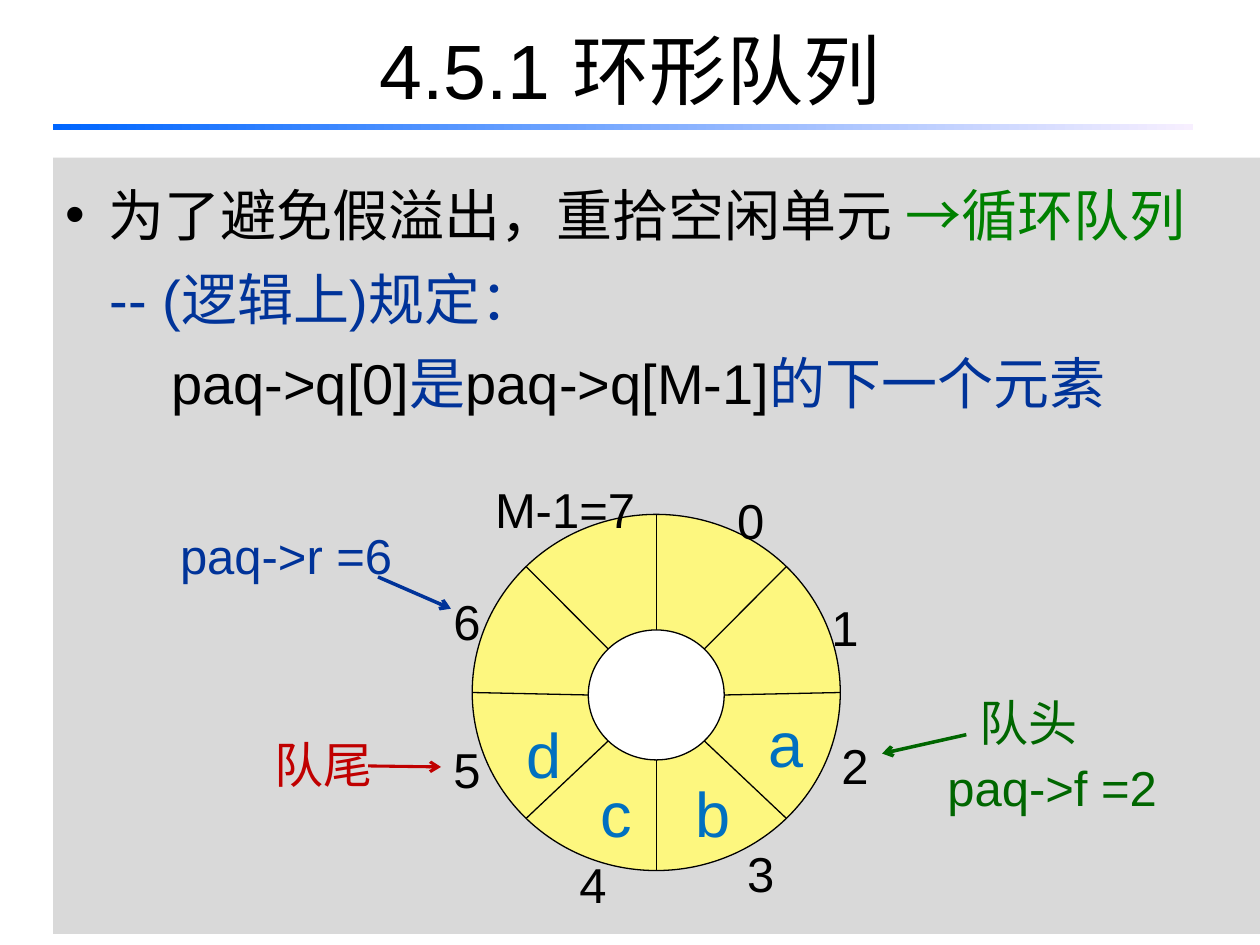
from math import cos, radians, sin

from lxml import etree
from pptx import Presentation
from pptx import util as u
from pptx.dml.color import RGBColor
from pptx.enum import shapes, text
from pptx.oxml.ns import qn

Cm, Pt = u.Cm, u.Pt
color = RGBColor.from_string
BLACK, BLUE, GREEN, RED = "000000", "003399", "006600", "C00000"


def add_text(tf, runs, size=28, spacing=1.25, indent=0, bullet=None, align=None, new=False):
    """Write one paragraph from (text, colour) runs; indent is in cm."""
    tf.word_wrap = True
    p = tf.add_paragraph() if new else tf.paragraphs[0]
    p.alignment = align or text.PP_ALIGN.LEFT
    p.line_spacing = spacing
    pPr = p._p.get_or_add_pPr()
    pPr.set("marL", str(Cm(indent)))
    pPr.set("indent", str(-Cm(indent) if bullet else 0))
    if bullet:
        clr = etree.SubElement(pPr, qn("a:buClr"))
        etree.SubElement(clr, qn("a:srgbClr"), val=BLACK)
        etree.SubElement(pPr, qn("a:buFont"), typeface="Arial")
        etree.SubElement(pPr, qn("a:buChar"), char=bullet)
    for words, c in runs:
        r = p.add_run()
        r.text = words
        r.font.size, r.font.name = Pt(size), "Arial"
        r.font.color.rgb = color(c)


def add_line(x1, y1, x2, y2, c=BLACK, width=0.75, arrow=False):
    cn = s.shapes.add_connector(shapes.MSO_CONNECTOR.STRAIGHT, Cm(x1), Cm(y1), Cm(x2), Cm(y2))
    cn.line.color.rgb, cn.line.width = color(c), Pt(width)
    if arrow:
        etree.SubElement(cn.line._get_or_add_ln(), qn("a:tailEnd"), type="arrow")
    etree.SubElement(cn._element.spPr, qn("a:effectLst"))


prs = Presentation()
prs.slide_width, prs.slide_height = Cm(25.4), Cm(19.05)
s = prs.slides.add_slide(prs.slide_layouts[6])

# Title
tf = s.shapes.add_textbox(Cm(1.27), Cm(-0.2), Cm(22.86), Cm(3.17)).text_frame
tf.vertical_anchor = text.MSO_ANCHOR.MIDDLE
add_text(tf, [("4.5.1 环形队列", BLACK)], 44, 1.0, align=text.PP_ALIGN.CENTER)

# Gradient rule under the title
sp = s.shapes.add_shape(shapes.MSO_SHAPE.RECTANGLE, Cm(1.07), Cm(2.51), Cm(22.99), Cm(0.11))
sp.shadow.inherit = False
sp.line.fill.background()
sp.fill.gradient()
sp.fill.gradient_angle = 0
for stop, position, c in zip(sp.fill.gradient_stops, (0, 1), ("0066FF", "F7EFFF")):
    stop.position, stop.color.rgb = position, color(c)

# Grey panel with the explanation
sp = s.shapes.add_shape(shapes.MSO_SHAPE.RECTANGLE, Cm(1.07), Cm(3.18), Cm(24.33), Cm(15.65))
sp.shadow.inherit = False
sp.line.fill.background()
sp.fill.solid()
sp.fill.fore_color.rgb = color("D9D9D9")
tf = sp.text_frame
tf.vertical_anchor = text.MSO_ANCHOR.TOP
add_text(tf, [("为了避免假溢出，重拾空闲单元 ", BLACK), ("→循环队列", "008000")],
         32, indent=0.86, bullet="•")
add_text(tf, [("-- (逻辑上)规定：", BLUE)], 32, indent=0.89, new=True)
add_text(tf, [("paq->q[0]", BLACK), ("是", BLUE), ("paq->q[M-1]", BLACK), ("的下一个元素", BLUE)],
         32, indent=2.13, new=True)

# Ring: outer and inner ellipse as centre y, x radius, y radius
cx = 13.23
outer, inner = (13.96, 3.71, 3.59), (14.01, 1.37, 1.31)
for (cy, rx, ry), c in ((outer, "FDF77F"), (inner, "FFFFFF")):
    sp = s.shapes.add_shape(shapes.MSO_SHAPE.OVAL, Cm(cx - rx), Cm(cy - ry), Cm(2 * rx), Cm(2 * ry))
    sp.shadow.inherit = False
    sp.fill.solid()
    sp.fill.fore_color.rgb = color(c)
    sp.line.color.rgb, sp.line.width = color(BLACK), Pt(0.75)

# Eight spokes between the ellipses
for k in range(8):
    a = radians(45 * k)
    ends = [v for cy, rx, ry in (outer, inner) for v in (cx + rx * cos(a), cy + ry * sin(a))]
    add_line(*ends)

# Slot numbers
for words, x, y, w in (("0", 14.61, 9.47, 1.27), ("1", 16.51, 11.63, 1.27),
                       ("2", 16.71, 14.4, 1.27), ("3", 14.81, 16.59, 1.27),
                       ("4", 11.43, 16.81, 1.27), ("5", 8.89, 14.48, 1.27),
                       ("6", 8.89, 11.51, 1.27), ("M-1=7", 9.73, 9.25, 3.81)):
    tf = s.shapes.add_textbox(Cm(x), Cm(y), Cm(w), Cm(1.6)).text_frame
    add_text(tf, [(words, BLACK)])

# Queue elements
for words, x, y in (("a", 15.24, 13.69), ("b", 13.77, 15.11), ("c", 11.86, 15.11), ("d", 10.36, 13.92)):
    tf = s.shapes.add_textbox(Cm(x), Cm(y), Cm(1.9), Cm(2.18)).text_frame
    add_text(tf, [(words, "0070C0")], 36)

# Rear, tail and head pointers
tf = s.shapes.add_textbox(Cm(3.38), Cm(10.36), Cm(5.51), Cm(1.47)).text_frame
add_text(tf, [("paq->r =6", BLUE)], spacing=1.1)
add_line(7.62, 11.63, 9.09, 12.27, BLUE, 2, arrow=True)

tf = s.shapes.add_textbox(Cm(5.28), Cm(14.81), Cm(2.74), Cm(1.35)).text_frame
add_text(tf, [("队尾", RED)], spacing=0.9)
add_line(7.42, 15.44, 8.89, 15.46, RED, 1.75, arrow=True)

tf = s.shapes.add_textbox(Cm(18.85), Cm(13.84), Cm(5.51), Cm(2.77)).text_frame
add_text(tf, [("队头", GREEN)], spacing=1.0, indent=0.64)
add_text(tf, [("paq->f =2", GREEN)], spacing=1.1, new=True)
add_line(19.48, 14.81, 17.78, 15.19, GREEN, 2, arrow=True)

prs.save("out.pptx")
